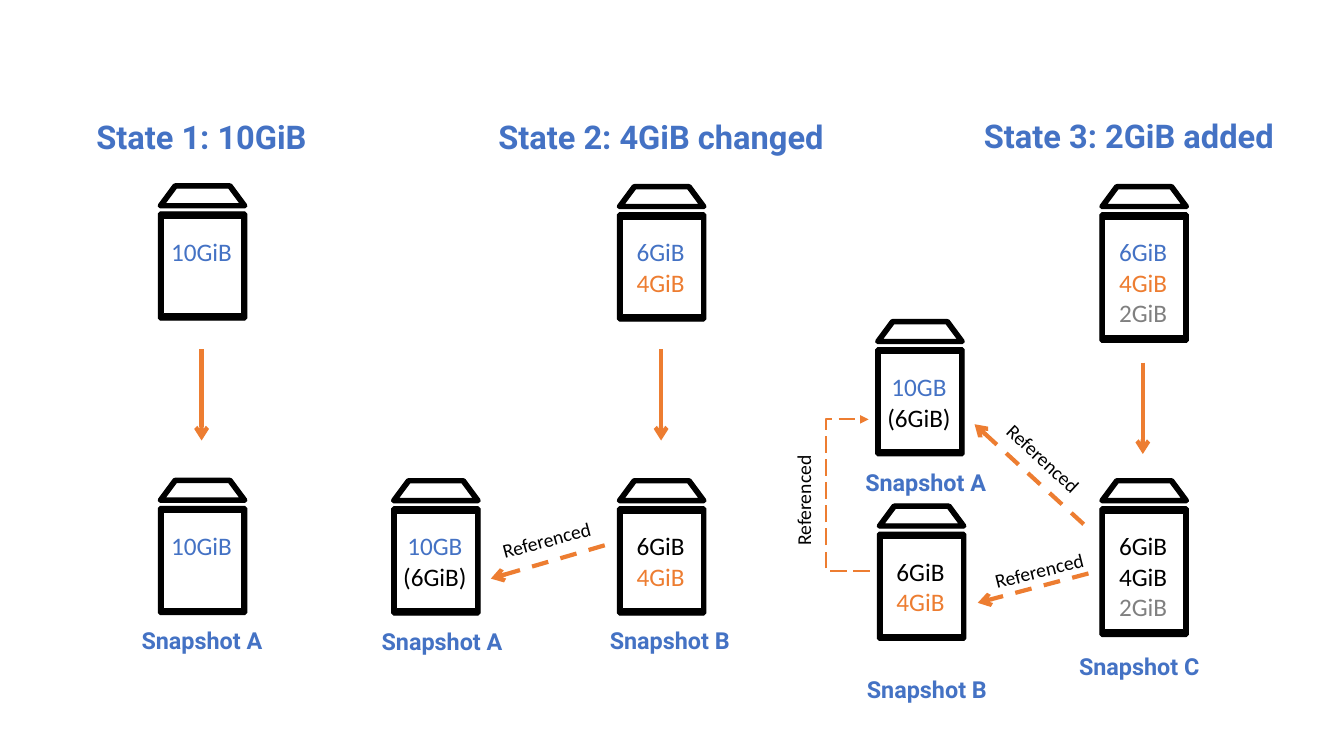
from lxml.etree import SubElement
from pptx import Presentation
from pptx.dml.color import RGBColor
from pptx.enum.dml import MSO_LINE as DASH
from pptx.enum.shapes import MSO_CONNECTOR as CONN
from pptx.enum.text import MSO_AUTO_SIZE as AUTO, PP_ALIGN as ALIGN
from pptx.oxml.ns import qn
from pptx.util import Cm, Pt

COLORS = {"blue": "4472C4", "orange": "ED7D31", "gray": "808080", "black": "000000"}
JAR_W, LID_H, BODY_TOP, WALL = 2.23, 0.61, 0.71, 0.12
TEXT_W, TEXT_TOP, LINE_H = 2.18, 1.19, 0.77


def rgb(name):
    return RGBColor.from_string(COLORS[name])


def add_text(shapes, box, lines, size, font="Calibri", bold=False,
             align=ALIGN.CENTER, inset=0.0, rotation=0):
    sp = shapes.add_textbox(*(Cm(v) for v in box))
    sp.rotation = rotation
    tf = sp.text_frame
    tf.word_wrap = True
    tf.auto_size = AUTO.SHAPE_TO_FIT_TEXT
    tf.margin_left = tf.margin_right = Cm(inset)
    tf.text = "\n".join(text for text, _ in lines)
    for p, (_, color) in zip(tf.paragraphs, lines):
        p.alignment = align
        f = p.runs[0].font
        f.name, f.size, f.bold = font, Pt(size), bold
        f.color.rgb = rgb(color)


def add_title(shapes, center, top, text, size, width, height):
    add_text(shapes, (center - width / 2, top, width, height), [(text, "blue")],
             size, "Roboto", True, inset=0.25)


def add_outline(shapes, left, top, contours):
    points = [[(Cm(left + x), Cm(top + y)) for x, y in c] for c in contours]
    builder = shapes.build_freeform(*points[0][0])
    for i, contour in enumerate(points):
        if i:
            builder.move_to(*contour[0])
        builder.add_line_segments(contour[1:], close=True)
    sp = builder.convert_to_shape()
    sp.shadow.inherit = False
    sp.fill.solid()
    sp.fill.fore_color.rgb = rgb("black")
    sp.line.color.rgb = rgb("black")
    sp.line.width = Pt(0.75)


def add_jar(slide, left, top, lines):
    shapes = slide.shapes.add_group_shape().shapes
    tall = len(lines) > 2
    h = 3.27 if tall else 2.73
    base = 0.17 if tall else 0.16
    w, cut, r = JAR_W, 0.38, 0.05
    body = [(r, 0), (w - r, 0), (w, r), (w, h - r), (w - r, h), (r, h), (0, h - r), (0, r)]
    inside = [(WALL, base), (WALL, h - base), (w - WALL, h - base), (w - WALL, base)]
    lid = [(cut + r, 0), (w - cut - r, 0), (w - cut, 0.02), (w - 0.01, 0.52),
           (w, 0.57), (w - r, LID_H), (r, LID_H), (0, 0.57), (0.01, 0.52), (cut, 0.02)]
    opening = [(0.46, 0.11), (0.17, 0.5), (w - 0.17, 0.5), (w - 0.46, 0.11)]
    add_outline(shapes, left, top + BODY_TOP, [body, inside])
    add_outline(shapes, left, top, [lid, opening])
    add_text(shapes, (left, top + TEXT_TOP, TEXT_W, 0.25 + LINE_H * len(lines)), lines, 18)


def add_arrow(slide, start, end, kind=CONN.STRAIGHT, width=3, dash=None, tail="arrow"):
    cx = slide.shapes.add_connector(kind, *(Cm(v) for v in start + end))
    cx.line.color.rgb = rgb("orange")
    cx.line.width = Pt(width)
    if dash:
        cx.line.dash_style = dash
    sp_pr = cx._element.spPr
    SubElement(sp_pr.find(qn("a:ln")), qn("a:tailEnd"), type=tail)
    SubElement(sp_pr, qn("a:effectLst"))
    return cx


def set_bend(cx, ratio):
    av = cx._element.spPr.find(qn("a:prstGeom")).get_or_add_avLst()
    SubElement(av, qn("a:gd"), name="adj1", fmla=f"val {round(ratio * 100000)}")


def main():
    prs = Presentation()
    prs.slide_width, prs.slide_height = Cm(33.87), Cm(19.05)
    slide = prs.slides.add_slide(prs.slide_layouts[6])

    for center, top, text in [(5.08, 2.82, "State 1: 10GiB"),
                              (16.66, 2.82, "State 2: 4GiB changed"),
                              (28.45, 2.79, "State 3: 2GiB added")]:
        add_title(slide.shapes, center, top, text, 23.3, 9.04, 2.26)

    for center, top, letter in [(5.09, 15.65, "A"), (11.14, 15.67, "A"),
                                (16.88, 15.65, "B"), (23.33, 11.66, "A"),
                                (23.36, 16.89, "B"), (28.71, 16.31, "C")]:
        add_title(slide.shapes, center, top, f"Snapshot {letter}", 16.7, 10.24, 0.97)

    whole = [("10GiB", "blue")]
    reduced = [("10GB", "blue"), ("(6GiB)", "black")]
    changed = [("6GiB", "black"), ("4GiB", "orange")]
    for left, top, lines in [
        (3.99, 4.63, whole),
        (3.99, 12.05, whole),
        (15.56, 4.65, [("6GiB", "blue"), ("4GiB", "orange")]),
        (9.87, 12.06, reduced),
        (15.56, 12.06, changed),
        (27.72, 4.65, [("6GiB", "blue"), ("4GiB", "orange"), ("2GiB", "gray")]),
        (22.07, 8.05, reduced),
        (22.11, 12.7, changed),
        (27.72, 12.06, [("6GiB", "black"), ("4GiB", "black"), ("2GiB", "gray")]),
    ]:
        add_jar(slide, left, top, lines)

    for x, top in [(5.08, 8.8), (16.66, 8.8), (28.8, 9.14)]:
        add_arrow(slide, (x, top), (x, top + 2.3))

    for start, end in [((15.24, 13.74), (12.37, 14.58)),
                       ((27.31, 13.21), (24.56, 10.69)),
                       ((27.43, 14.45), (24.64, 15.19))]:
        add_arrow(slide, start, end, dash=DASH.DASH)
    bent = add_arrow(slide, (21.92, 14.38), (21.89, 10.57), CONN.ELBOW, 1.5,
                     DASH.LONG_DASH, "triangle")
    set_bend(bent, 37)

    for left, top, angle in [(12.6, 12.9, 344.9), (24.87, 11.84, 43),
                             (25.02, 13.69, 345.9), (18.06, 11.13, 270)]:
        add_text(slide.shapes, (left, top, 4.39, 0.86), [("Referenced", "black")],
                 14, align=ALIGN.LEFT, rotation=angle)

    prs.save("out.pptx")


if __name__ == "__main__":
    main()
